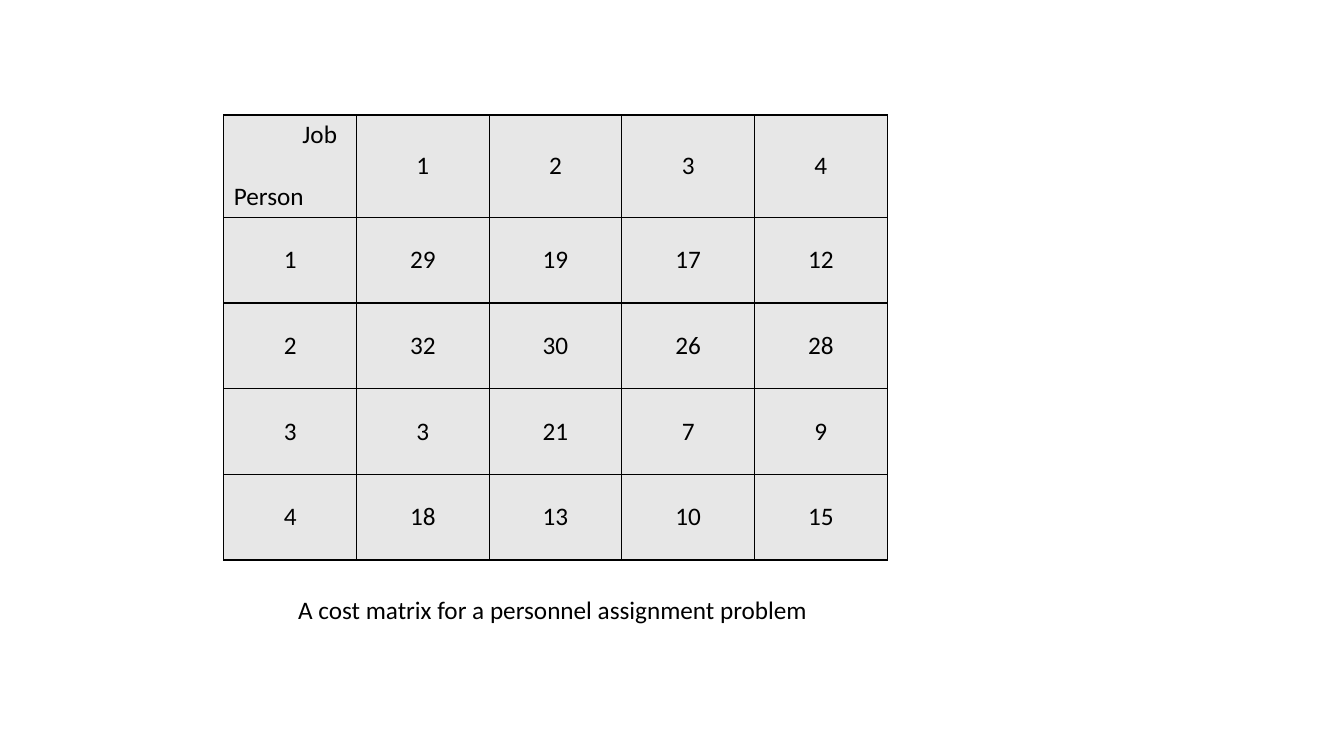
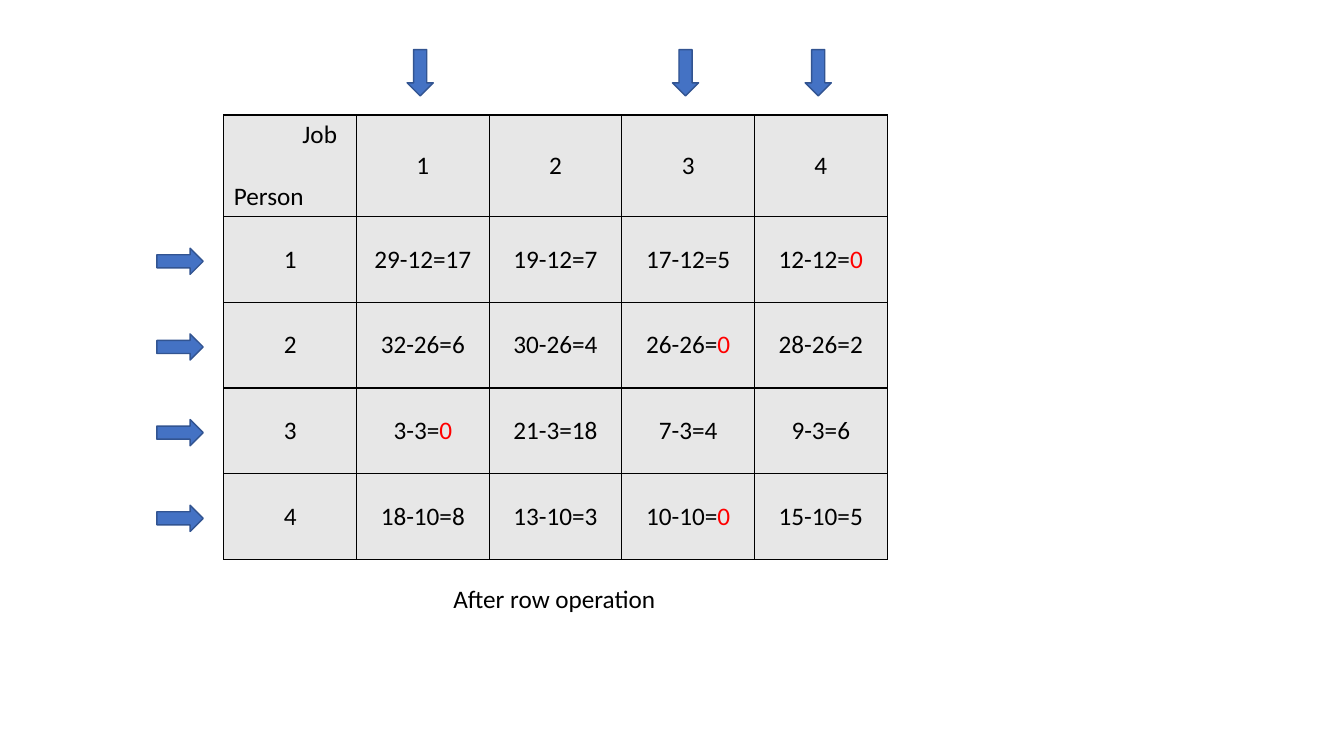
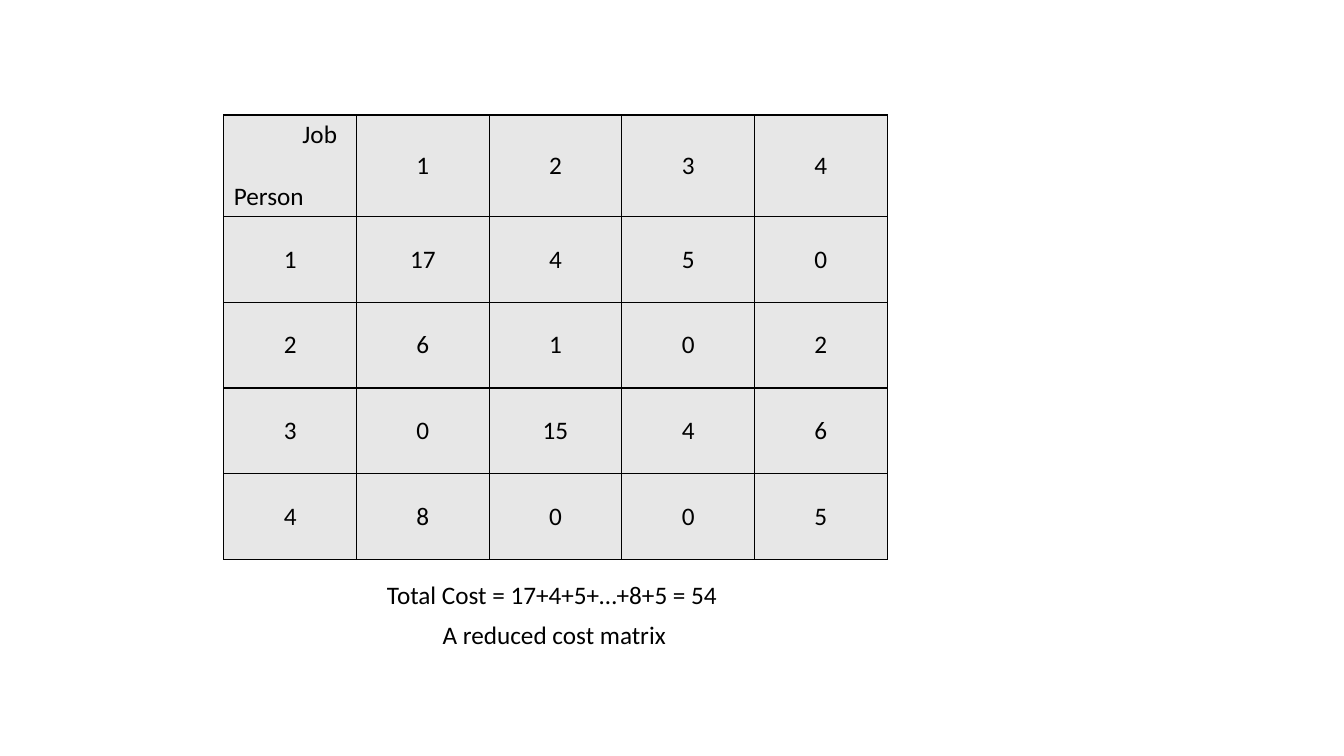
from dataclasses import dataclass

from lxml.etree import SubElement as Sub
from pptx import Presentation
from pptx.dml.color import RGBColor
from pptx.enum.shapes import MSO_SHAPE as Form
from pptx.enum.text import MSO_ANCHOR as Anchor, MSO_AUTO_SIZE as Fit, PP_ALIGN as Align
from pptx.oxml.ns import qn
from pptx.slide import Slide
from pptx.table import Table, _Cell as Cell
from pptx.util import Emu, Inches, Pt

FONT, SIZE = "Calibri", 18
BLACK, RED, GREY = "000000", "FF0000", "E7E7E7"
BLUE, NAVY = "4472C4", "325491"
LEFT, TOP, WIDE = 2.22, 1.14, 6.58
HEAD, ROW = 1.01, 0.85
COL = WIDE / 5
COSTS = [[29, 19, 17, 12], [32, 30, 26, 28], [3, 21, 7, 9], [18, 13, 10, 15]]
COUNT = len(COSTS)

Run = tuple[str, str]
Grid = list[list[list[Run]]]


@dataclass(frozen=True)
class Label:
    text: str
    row: float
    cols: float


@dataclass(frozen=True)
class Arrow:
    col: float
    row: float
    turn: int = 0


@dataclass(frozen=True)
class Page:
    cells: Grid
    labels: list[Label]
    arrows: list[Arrow]


def tint(code: str) -> RGBColor:
    return RGBColor.from_string(code)


def across(col: float) -> Emu:
    return Inches(LEFT + col * COL)


def down(row: float) -> Emu:
    return Inches(TOP + HEAD + row * ROW)


def write(para, text: str, hue: str = BLACK) -> None:
    run = para.add_run()
    run.text = text
    run.font.name, run.font.size = FONT, Pt(SIZE)
    run.font.color.rgb = tint(hue)


def dress(cell: Cell) -> None:
    props = cell._tc.get_or_add_tcPr()
    for side in ("a:lnL", "a:lnR", "a:lnT", "a:lnB"):
        line = Sub(props, qn(side), w=str(Pt(1)))
        Sub(Sub(line, qn("a:solidFill")), qn("a:srgbClr"), val=BLACK)
    cell.fill.solid()
    cell.fill.fore_color.rgb = tint(GREY)


def fill(cell: Cell, runs: list[Run]) -> None:
    cell.vertical_anchor = Anchor.MIDDLE
    para = cell.text_frame.paragraphs[0]
    para.alignment = Align.CENTER
    for text, hue in runs:
        write(para, text, hue)


def corner(cell: Cell) -> None:
    job = cell.text_frame.paragraphs[0]
    job._p.get_or_add_pPr().set("marL", str(Inches(0.68)))
    write(job, "Job")
    person = cell.text_frame.add_paragraph()
    person.space_before = Pt(22)
    write(person, "Person")


def matrix(slide: Slide, cells: Grid) -> None:
    size = COUNT + 1
    frame = slide.shapes.add_table(
        size, size, across(0), Inches(TOP), Inches(WIDE), Inches(HEAD + COUNT * ROW))
    table: Table = frame.table
    table.first_row = table.horz_banding = False
    for col in table.columns:
        col.width = Inches(COL)
    for i, row in enumerate(table.rows):
        row.height = Inches(ROW if i else HEAD)
    for cell in table.iter_cells():
        dress(cell)
    corner(table.cell(0, 0))
    for i in range(1, size):
        fill(table.cell(0, i), plain(i))
        fill(table.cell(i, 0), plain(i))
        for j in range(1, size):
            fill(table.cell(i, j), cells[i - 1][j - 1])


def point(slide: Slide, arrow: Arrow) -> None:
    wide, high = Inches(0.26), Inches(0.46)
    shape = slide.shapes.add_shape(
        Form.DOWN_ARROW, across(arrow.col) - wide // 2, down(arrow.row) - high // 2, wide, high)
    shape.rotation = arrow.turn
    shape.shadow.inherit = False
    shape.fill.solid()
    shape.fill.fore_color.rgb = tint(BLUE)
    shape.line.color.rgb = tint(NAVY)
    shape.line.width = Pt(1)


def note(slide: Slide, label: Label) -> None:
    mid = (COUNT + 1) / 2
    box = slide.shapes.add_textbox(
        across(mid - label.cols / 2), down(label.row), Inches(label.cols * COL), Inches(0.4))
    frame = box.text_frame
    frame.word_wrap = False
    frame.auto_size = Fit.SHAPE_TO_FIT_TEXT
    write(frame.paragraphs[0], label.text)


def plain(value: int) -> list[Run]:
    return [(str(value), BLACK)]


def minus(cost: int, least: int) -> list[Run]:
    rest = cost - least
    return [(f"{cost}-{least}=", BLACK), (str(rest), BLACK if rest else RED)]


lows = [min(row) for row in COSTS]
cut = [[cost - low for cost in row] for row, low in zip(COSTS, lows)]
mins = [min(col) for col in zip(*cut)]
final = [[cost - low for cost, low in zip(row, mins)] for row in cut]
total = sum(lows) + sum(mins)

tops = [Arrow(j + 1.48, -1.68) for j, low in enumerate(mins) if low == 0]
sides = [Arrow(-0.33, i + 0.52, 270) for i in range(COUNT)]

PAGES = [
    Page([[plain(cost) for cost in row] for row in COSTS],
         [Label("A cost matrix for a personnel assignment problem", 4.35, 4.03)], []),
    Page([[minus(cost, low) for cost in row] for row, low in zip(COSTS, lows)],
         [Label("After row operation", 4.22, 1.69)], tops + sides),
    Page([[plain(cost) for cost in row] for row in final],
         [Label("A reduced cost matrix", 4.64, 1.85),
          Label(f"Total Cost = 17+4+5+…+8+5 = {total}", 4.18, 2.69)], []),
]

deck = Presentation()
deck.slide_width, deck.slide_height = Inches(13.33), Inches(7.5)
for page in PAGES:
    slide = deck.slides.add_slide(deck.slide_layouts[6])
    matrix(slide, page.cells)
    for arrow in page.arrows:
        point(slide, arrow)
    for label in page.labels:
        note(slide, label)
deck.save("out.pptx")
